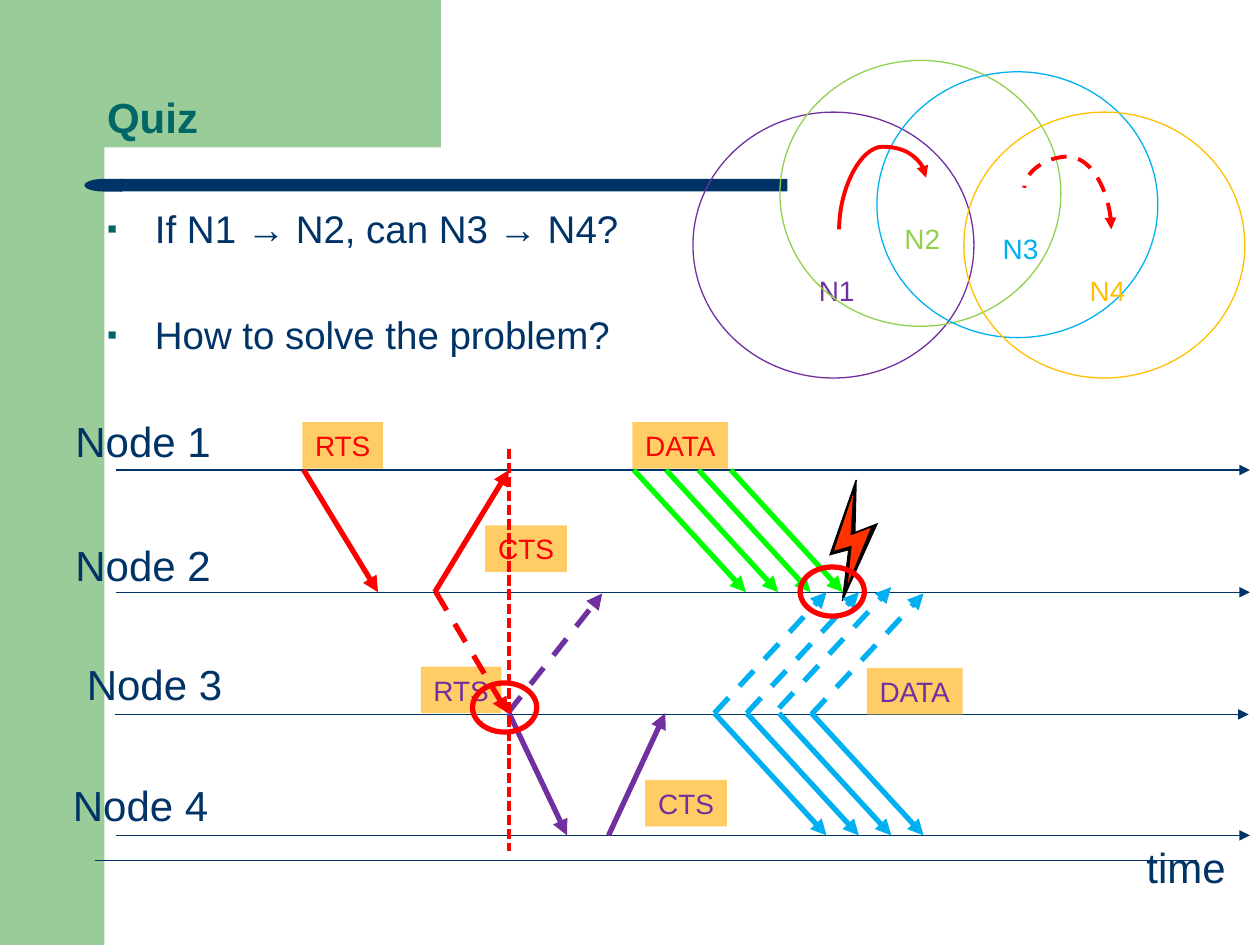
from lxml import etree
from pptx import Presentation
from pptx.dml.color import RGBColor
from pptx.enum.dml import MSO_LINE
from pptx.enum.shapes import MSO_CONNECTOR, MSO_SHAPE
from pptx.enum.text import MSO_ANCHOR, MSO_AUTO_SIZE, PP_ALIGN
from pptx.oxml.ns import qn
from pptx.util import Inches, Pt

RECT, OVAL, DELAY = MSO_SHAPE.RECTANGLE, MSO_SHAPE.OVAL, MSO_SHAPE.FLOWCHART_DELAY
STRAIGHT, CURVE = MSO_CONNECTOR.STRAIGHT, MSO_CONNECTOR.CURVE
DASH, SHORT_DASH = MSO_LINE.DASH, MSO_LINE.SQUARE_DOT
LEFT, CENTER = PP_ALIGN.LEFT, PP_ALIGN.CENTER
TOP, MIDDLE = MSO_ANCHOR.TOP, MSO_ANCHOR.MIDDLE

THEME = {
    "font": "Arial",
    "navy": "003366", "teal": "006666", "sage": "99CC99", "label": "FFCC66",
    "red": "FF0000", "green": "00FF00", "purple": "7030A0", "sky": "00B0F0",
    "lime": "92D050", "gold": "FFC000", "black": "000000", "flame": "FF3300",
    "title": 24, "body": 22, "node": 24, "small": 16,
    "thin": 0.75, "curve": 2.25, "marker": 2, "thick": 3,
}

TITLE = "Quiz"
QUESTIONS = ["If N1 → N2, can N3 → N4?", "How to solve the problem?"]
# Timelines: name, text left, text top, line left, line y
ROWS = [
    ("Node 1", 0.5, 3.25, 0.92, 3.73),
    ("Node 2", 0.5, 4.23, 0.92, 4.7),
    ("Node 3", 0.59, 5.18, 0.91, 5.67),
    ("Node 4", 0.48, 6.14, 0.92, 6.63),
]
TIMELINE_LENGTH = 9
# Frame labels: text, left, top, width, colour
LABELS = [
    ("RTS", 2.4, 3.35, 0.64, "red"),
    ("CTS", 3.85, 4.17, 0.65, "red"),
    ("DATA", 5.02, 3.35, 0.76, "red"),
    ("CTS", 5.12, 6.19, 0.65, "purple"),
    ("RTS", 3.34, 5.29, 0.64, "purple"),
    ("DATA", 6.88, 5.3, 0.76, "purple"),
]
# Control frames: start, end, colour, dash
CONTROL = [
    ((3.45, 4.7), (4.04, 3.73), "red", None),
    ((2.41, 3.73), (3, 4.7), "red", None),
    ((4.83, 6.63), (5.28, 5.66), "purple", None),
    ((4.03, 5.66), (4.78, 4.71), "purple", DASH),
    ((4.04, 5.66), (4.5, 6.63), "purple", None),
    ((3.46, 4.7), (4.03, 5.66), "red", DASH),
]
# Data bursts: first start, rise, colour, dash, vertical shift of each arrow
BURSTS = [
    ((5.03, 3.73), 0.97, "green", None, (0, 0, 0, 0)),
    ((5.67, 5.66), 0.97, "sky", None, (0, 0, 0, 0)),
    ((5.67, 5.66), -0.96, "sky", DASH, (0, 0, -0.04, 0.01)),
]
BURST_SPAN, BURST_RUN = 0.77, 0.89
BOLT = [
    ("black", [(6.79, 4.22), (6.8, 3.81), (6.79, 3.81), (6.58, 4.41), (6.73, 4.37),
               (6.68, 4.77), (6.69, 4.77), (6.97, 4.15)]),
    ("flame", [(6.77, 3.92), (6.62, 4.37), (6.76, 4.33), (6.73, 4.63), (6.91, 4.19),
               (6.75, 4.25)]),
]
COLLISIONS = [(6.35, 4.5), (3.75, 5.42)]
# Radio ranges: name, circle left and top, text left and top, colour
RANGES = [
    ("N1", (5.5, 0.89), (6.4, 2.12), "purple"),
    ("N2", (6.19, 0.48), (7.08, 1.71), "lime"),
    ("N3", (6.96, 0.57), (7.86, 1.79), "sky"),
    ("N4", (7.65, 0.89), (8.55, 2.12), "gold"),
]
# Hops, before rotation: start, end, rotation, bend, dash, arrowhead
HOPS = [
    ((6.8, 1.27), (7.21, 1.96), 270, 1.6, None, "tailEnd"),
    ((8.64, 1.31), (8.31, 2), 90, 1.75, DASH, "headEnd"),
]


def rgb(name):
    return RGBColor.from_string(THEME[name])


def write(sp, lines, size, color, align=LEFT, anchor=TOP, bold=False):
    tf = sp.text_frame
    tf.text = "\n".join(lines)
    tf.word_wrap, tf.auto_size = True, MSO_AUTO_SIZE.NONE
    tf.vertical_anchor = anchor
    for p in tf.paragraphs:
        p.alignment = align
        for r in p.runs:
            r.font.name, r.font.size, r.font.bold = THEME["font"], Pt(THEME[size]), bold
            r.font.color.rgb = rgb(color)
    return tf


def add_text(text, left, top, width, size, color):
    box = s.shapes.add_textbox(*map(Inches, (left, top, width, 0.58)))
    write(box, [text], size, color)


def paint(sp, fill=None, line=None, weight="thin"):
    sp.shadow.inherit = False
    if fill:
        sp.fill.solid()
        sp.fill.fore_color.rgb = rgb(fill)
    else:
        sp.fill.background()
    if line:
        sp.line.color.rgb, sp.line.width = rgb(line), Pt(THEME[weight])
    else:
        sp.line.fill.background()
    return sp


def add_shape(kind, left, top, width, height, **style):
    sp = s.shapes.add_shape(kind, *map(Inches, (left, top, width, height)))
    return paint(sp, **style)


def add_line(start, end, color, weight, dash=None, head="tailEnd", kind=STRAIGHT):
    c = s.shapes.add_connector(kind, *map(Inches, (*start, *end)))
    c.line.color.rgb, c.line.width = rgb(color), Pt(THEME[weight])
    if dash:
        c.line.dash_style = dash
    sp_pr = c._element.spPr
    if head:
        etree.SubElement(sp_pr.find(qn("a:ln")), qn("a:" + head), type="triangle")
    etree.SubElement(sp_pr, qn("a:effectLst"))
    return sp_pr


def add_bullet(p):
    p_pr = p._p.get_or_add_pPr()
    p_pr.set("marL", str(Inches(0.38)))
    p_pr.set("indent", str(-Inches(0.38)))
    color = etree.SubElement(p_pr, qn("a:buClr"))
    etree.SubElement(color, qn("a:srgbClr"), val=THEME["teal"])
    etree.SubElement(p_pr, qn("a:buSzPct"), val="75000")
    etree.SubElement(p_pr, qn("a:buChar"), char="▪")


def place(sp, left, top, width, height):
    """Position a placeholder and bring it to the front."""
    sp.left, sp.top, sp.width, sp.height = map(Inches, (left, top, width, height))
    s.shapes._spTree.append(sp._element)


prs = Presentation()
prs.slide_width, prs.slide_height = Inches(10), Inches(7.5)
s = prs.slides.add_slide(prs.slide_layouts[1])
title, body = s.placeholders

add_shape(RECT, 0, 0, 0.83, 7.5, fill="sage")
add_shape(RECT, 0.75, 0, 2.75, 1.17, fill="sage")
add_shape(RECT, 0.95, 1.42, 5.3, 0.1, fill="navy")
add_shape(DELAY, 0.67, 1.42, 0.3, 0.1, fill="navy").rotation = 180
add_line((0.75, 6.83), (9.5, 6.83), "navy", "thin", head=None)
place(title, 0.75, 0.58, 9, 0.75)
tf = write(title, [TITLE], "title", "teal", anchor=MIDDLE, bold=True)
tf.paragraphs[0].line_spacing = 0.9
place(body, 0.75, 1.58, 9, 5.42)
for i, p in enumerate(write(body, QUESTIONS, "body", "navy").paragraphs):
    add_bullet(p)
    p.space_before = Pt(34 if i else 0)

for name, text_left, text_top, left, y in ROWS:
    add_line((left, y), (left + TIMELINE_LENGTH, y), "navy", "thin")
    add_text(name, text_left, text_top, 1.98, "node", "navy")
add_text("time", 9, 6.63, 0.95, "node", "navy")
for text, left, top, width, color in LABELS:
    sp = add_shape(RECT, left, top, width, 0.37, fill="label")
    tf = write(sp, [text], "small", color, CENTER, MIDDLE)
    tf.margin_left = tf.margin_right = 0
for color, points in BOLT:
    start, *rest = [tuple(map(Inches, point)) for point in points]
    outline = s.shapes.build_freeform(*start, scale=1.0)
    outline.add_line_segments(rest, close=True)
    paint(outline.convert_to_shape(), fill=color)
for start, end, color, dash in CONTROL:
    add_line(start, end, color, "thick", dash)
for (x, y), rise, color, dash, shifts in BURSTS:
    for i, shift in enumerate(shifts):
        left, top = x + i * BURST_SPAN / (len(shifts) - 1), y + shift
        add_line((left, top), (left + BURST_RUN, top + rise), color, "thick", dash)
for left, top in COLLISIONS:
    add_shape(OVAL, left, top, 0.51, 0.39, line="red", weight="thick")
add_line((4.04, 3.56), (4.04, 6.75), "red", "marker", SHORT_DASH, head=None)

for name, circle, text_at, color in RANGES:
    add_shape(OVAL, *circle, 2.23, 2.11, line=color)
    add_text(name, *text_at, 0.6, "small", color)
for start, end, rotation, bend, dash, head in HOPS:
    sp_pr = add_line(start, end, "red", "curve", dash, head, CURVE)
    sp_pr.find(qn("a:xfrm")).set("rot", str(rotation * 60000))
    guides = sp_pr.find(qn("a:prstGeom")).get_or_add_avLst()
    etree.SubElement(guides, qn("a:gd"), name="adj1", fmla=f"val {round(bend * 100000)}")

prs.save("out.pptx")
